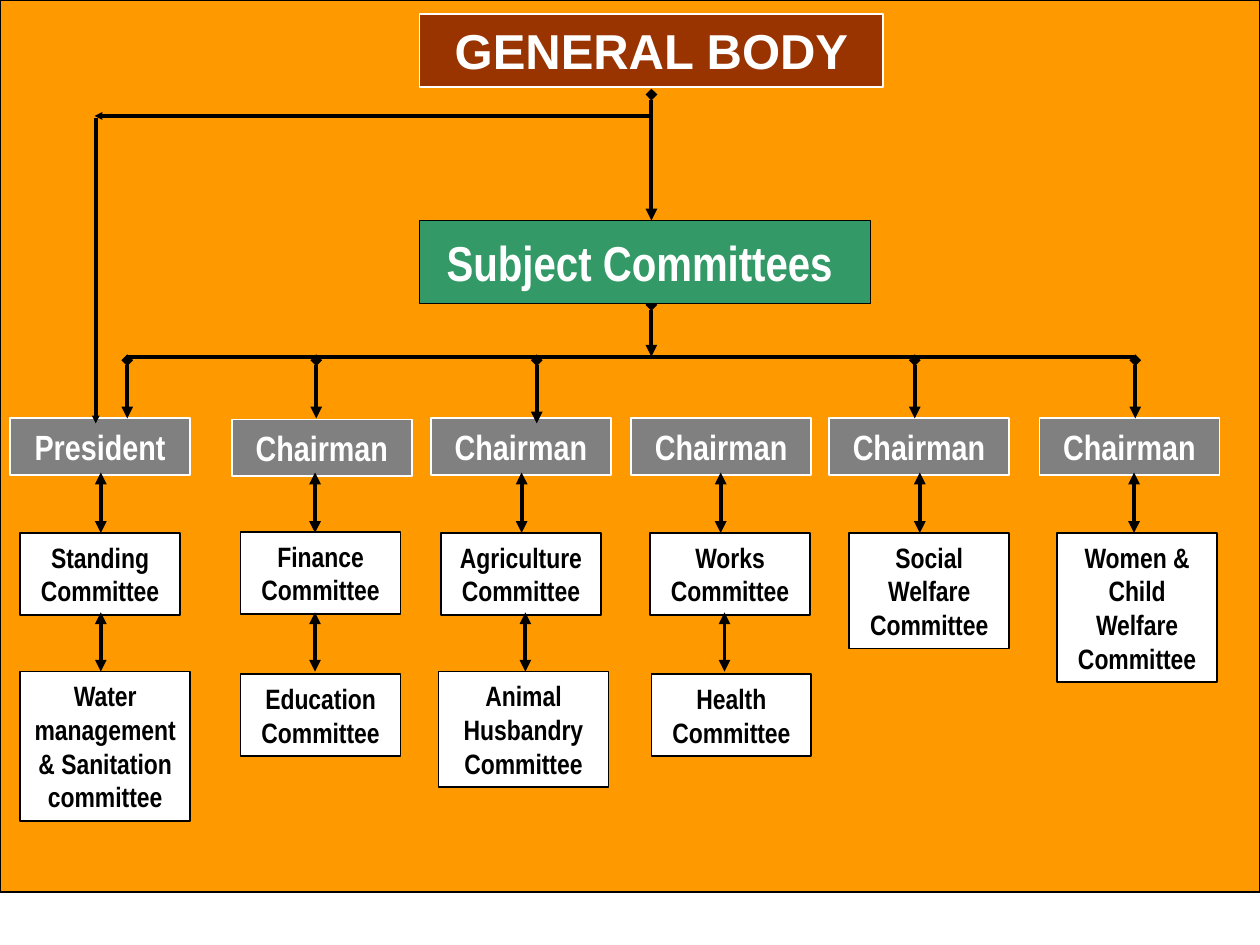
from typing import NamedTuple, Optional

from lxml import etree
from pptx import Presentation, util as u
from pptx.dml.color import RGBColor
from pptx.enum import shapes, text
from pptx.oxml.ns import qn

COLUMNS, ROWS = 100, 75
COLORS = {
    "backdrop": "FF9900",
    "body": "993300",
    "subject": "339966",
    "officer": "808080",
    "white": "FFFFFF",
    "black": "000000",
}
OFFICER_ROW, COMMITTEE_ROW, SUBCOMMITTEE_ROW = 33.2, 42.3, 53.3
BUS_ROW, FEED_ROW = 28.3, 28.6
TRUNK, PRESIDENT_LINE = 51.7, 7.6


class Style(NamedTuple):
    fill: str
    line: str
    ink: str
    size: int
    font: str = "Arial Narrow"


class Area(NamedTuple):
    left: float
    top: float
    width: float
    height: float


class Committee(NamedTuple):
    name: str
    left: float
    lines: int
    link: float
    width: float = 12.7
    drop: float = 0


class Branch(NamedTuple):
    officer: str
    left: float
    committee: Committee
    subcommittee: Optional[Committee] = None
    feed: Optional[float] = None
    drop: float = 0
    feed_end: float = OFFICER_ROW


BODY = Style("body", "white", "white", 28, "Arial")
SUBJECT = Style("subject", "black", "white", 28)
OFFICER = Style("officer", "white", "white", 20)
COMMITTEE = Style("white", "black", "black", 16)

BRANCHES = [
    Branch("President", 0.8, Committee("Standing Committee", 1.6, 2, 8),
           Committee("Water management & Sanitation committee", 1.6, 4, 8, 13.5), 10.1),
    Branch("Chairman", 18.4, Committee("Finance Committee", 19.1, 2, 25, drop=-0.1),
           Committee("Education Committee", 19.1, 2, 25, drop=0.2), 25.1, 0.1),
    Branch("Chairman", 34.2, Committee("Agriculture Committee", 35, 2, 41.4),
           Committee("Animal Husbandry Committee", 34.8, 3, 41.7, 13.5), 42.6,
           feed_end=33.6),
    Branch("Chairman", 50.1, Committee("Works Committee", 51.6, 2, 57.2),
           Committee("Health Committee", 51.7, 2, 57.5, drop=0.2)),
    Branch("Chairman", 65.8, Committee("Social Welfare Committee", 67.4, 3, 73), feed=72.6),
    Branch("Chairman", 82.5, Committee("Women & Child Welfare Committee", 83.9, 4, 90),
           feed=90.1),
]

deck = Presentation()
deck.slide_width, deck.slide_height = u.Inches(10), u.Inches(7.5)
slide = deck.slides.add_slide(deck.slide_layouts[5])


def across(columns: float) -> int:
    return round(deck.slide_width * columns / COLUMNS)


def down(rows: float) -> int:
    return round(deck.slide_height * rows / ROWS)


def color(name: str) -> RGBColor:
    return RGBColor.from_string(COLORS[name])


def place(shape, area: Area) -> None:
    shape.left, shape.top = across(area.left), down(area.top)
    shape.width, shape.height = across(area.width), down(area.height)


def paint(shape, fill: str, line: str, weight: float = 1) -> None:
    shape.fill.solid()
    shape.fill.fore_color.rgb = color(fill)
    shape.line.color.rgb = color(line)
    shape.line.width = u.Pt(weight)


def add_rectangle(area: Area):
    shape = slide.shapes.add_shape(shapes.MSO_SHAPE.RECTANGLE, 0, 0, 0, 0)
    shape.shadow.inherit = False
    place(shape, area)
    return shape


def write(shape, words: str, style: Style) -> None:
    paint(shape, style.fill, style.line)
    frame = shape.text_frame
    frame.text = words
    frame.word_wrap = True
    frame.auto_size = text.MSO_AUTO_SIZE.NONE
    frame.vertical_anchor = text.MSO_ANCHOR.MIDDLE
    paragraph = frame.paragraphs[0]
    paragraph.alignment = text.PP_ALIGN.CENTER
    font = paragraph.runs[0].font
    font.name, font.size, font.bold = style.font, u.Pt(style.size), True
    font.color.rgb = color(style.ink)


def connect(x1: float, y1: float, x2: float, y2: float,
            head: str = "none", tail: str = "none", size: str = "med") -> None:
    line = slide.shapes.add_connector(
        shapes.MSO_CONNECTOR.STRAIGHT, across(x1), down(y1), across(x2), down(y2))
    line.line.color.rgb = color("black")
    line.line.width = u.Pt(2.25)
    properties = line.element.spPr
    outline = properties.find(qn("a:ln"))
    for tag, kind in (("a:headEnd", head), ("a:tailEnd", tail)):
        etree.SubElement(outline, qn(tag), type=kind, w=size, len=size)
    etree.SubElement(properties, qn("a:effectLst"))


def add_committee(committee: Committee, row: float, link_row: float) -> None:
    box = add_rectangle(Area(committee.left, row + committee.drop,
                             committee.width, 1.2 + 2.66 * committee.lines))
    write(box, committee.name, COMMITTEE)
    connect(committee.link, link_row, committee.link, row, "triangle", "triangle")


def add_branch(branch: Branch) -> None:
    officer = add_rectangle(Area(branch.left, OFFICER_ROW + branch.drop, 14.3, 4.5))
    write(officer, branch.officer, OFFICER)
    if branch.feed is not None:
        connect(branch.feed, FEED_ROW, branch.feed, branch.feed_end, "diamond", "triangle")
    add_committee(branch.committee, COMMITTEE_ROW, 37.5)
    if branch.subcommittee:
        add_committee(branch.subcommittee, SUBCOMMITTEE_ROW, 48.6)


general_body = slide.shapes.title
place(general_body, Area(33.3, 1.1, 36.8, 5.8))
write(general_body, "GENERAL BODY", BODY)

backdrop = add_rectangle(Area(0, 0, 100, 70.8))
paint(backdrop, "backdrop", "black", 0.75)
general_body.element.addprevious(backdrop.element)

connect(10, BUS_ROW, 90, BUS_ROW)
connect(TRUNK, 24.2, TRUNK, BUS_ROW, "diamond", "triangle")
connect(TRUNK, 9.2, 7.5, 9.2, tail="triangle", size="sm")

subject_committees = add_rectangle(Area(33.3, 17.5, 35.8, 6.6))
write(subject_committees, "Subject Committees ", SUBJECT)
connect(TRUNK, 7.5, TRUNK, 17.5, "diamond", "triangle")

for branch in BRANCHES:
    add_branch(branch)
connect(PRESIDENT_LINE, 9.4, PRESIDENT_LINE, 33.6, tail="triangle", size="sm")

deck.save("out.pptx")
